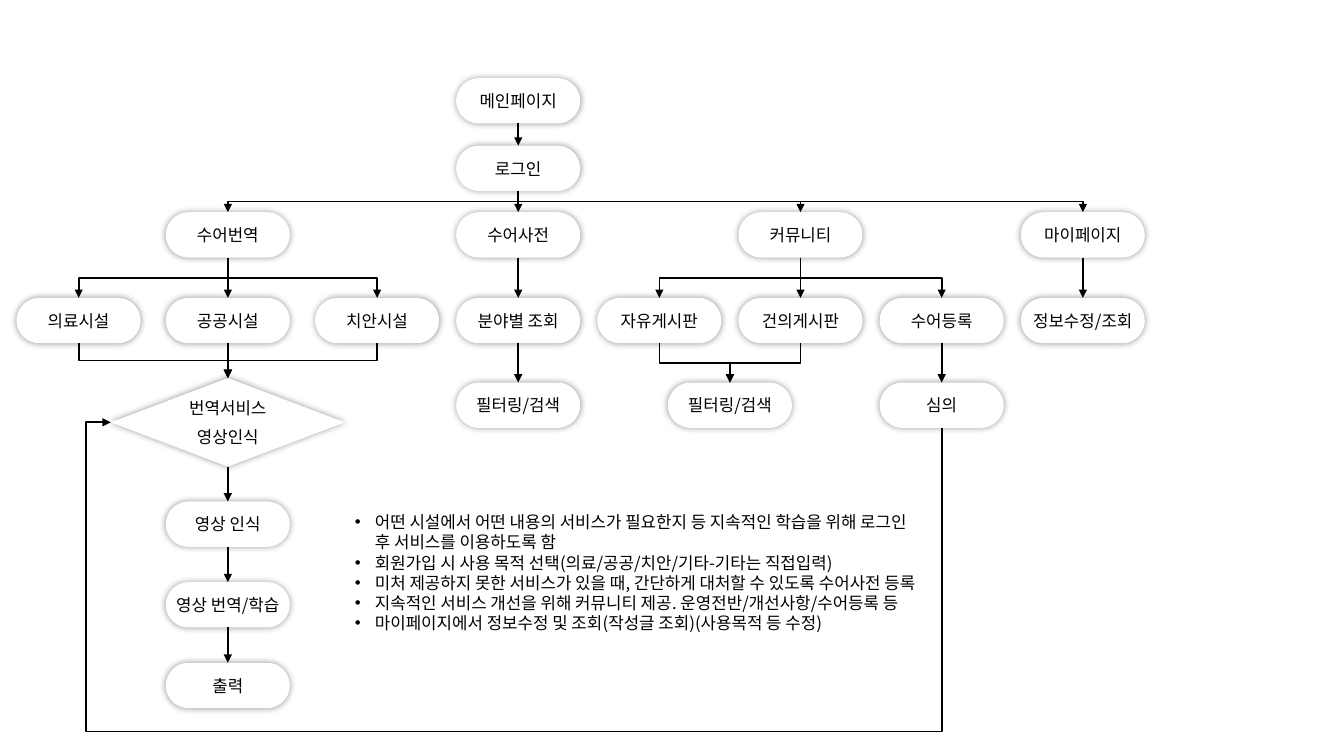
from lxml import etree
from pptx import Presentation
from pptx.dml.color import RGBColor
from pptx.enum.shapes import MSO_CONNECTOR, MSO_SHAPE
from pptx.enum.text import MSO_ANCHOR, PP_ALIGN
from pptx.oxml.ns import qn
from pptx.util import Inches, Pt

BLACK = RGBColor(0x00, 0x00, 0x00)
WHITE = RGBColor(0xFF, 0xFF, 0xFF)
ROUND, DECISION = MSO_SHAPE.ROUNDED_RECTANGLE, MSO_SHAPE.FLOWCHART_DECISION
STRAIGHT, ELBOW = MSO_CONNECTOR.STRAIGHT, MSO_CONNECTOR.ELBOW
MIDDLE, CENTER = MSO_ANCHOR.MIDDLE, PP_ALIGN.CENTER
TOP, LEFT, BOTTOM = 0, 1, 2  # connection sites

# Column centres: three translation columns, then five for the other menus
COLS = [0.78 + 1.48 * i for i in range(3)] + [5.14 + 1.4 * i for i in range(5)]
# Row centres: menu levels, the decision, then the translation steps
ROWS = [1.0, 1.67, 2.33, 3.18, 4.02, 4.19, 5.2, 6.0, 6.8]
BOX = (1.23, 0.45)
DIAMOND = (2.32, 0.88)
LOOP_X, LOOP_Y = 0.85, 7.25

# key: (text, column, row)
NODES = {
    "main": ("메인페이지", 3, 0),
    "login": ("로그인", 3, 1),
    "dictionary": ("수어사전", 3, 2),
    "translate": ("수어번역", 1, 2),
    "community": ("커뮤니티", 5, 2),
    "mypage": ("마이페이지", 7, 2),
    "medical": ("의료시설", 0, 3),
    "public": ("공공시설", 1, 3),
    "security": ("치안시설", 2, 3),
    "service": ("번역서비스\n영상인식", 1, 5),
    "capture": ("영상 인식", 1, 6),
    "learn": ("영상 번역/학습", 1, 7),
    "output": ("출력", 1, 8),
    "by_field": ("분야별 조회", 3, 3),
    "field_search": ("필터링/검색", 3, 4),
    "free_board": ("자유게시판", 4, 3),
    "idea_board": ("건의게시판", 5, 3),
    "sign_entry": ("수어등록", 6, 3),
    "board_search": ("필터링/검색", 4.5, 4),
    "review": ("심의", 6, 4),
    "edit_info": ("정보수정/조회", 7, 3),
}
LINKS = {
    "main": ["login"],
    "login": ["translate", "community", "mypage", "dictionary"],
    "translate": ["medical", "security", "public"],
    "medical": ["service"],
    "public": ["service"],
    "security": ["service"],
    "service": ["capture"],
    "capture": ["learn"],
    "learn": ["output"],
    "dictionary": ["by_field"],
    "by_field": ["field_search"],
    "community": ["idea_board", "free_board", "sign_entry"],
    "mypage": ["edit_info"],
    "sign_entry": ["review"],
    "free_board": ["board_search"],
    "idea_board": ["board_search"],
}
NOTES = [
    "어떤 시설에서 어떤 내용의 서비스가 필요한지 등 지속적인 학습을 위해 로그인 후 서비스를 이용하도록 함",
    "회원가입 시 사용 목적 선택(의료/공공/치안/기타-기타는 직접입력)",
    "미처 제공하지 못한 서비스가 있을 때, 간단하게 대처할 수 있도록 수어사전 등록",
    "지속적인 서비스 개선을 위해 커뮤니티 제공. 운영전반/개선사항/수어등록 등",
    "마이페이지에서 정보수정 및 조회(작성글 조회)(사용목적 등 수정)",
]


def add_xml(parent, tag, **attrs):
    return etree.SubElement(parent, qn(tag), {k: str(v) for k, v in attrs.items()})


def column_x(col):
    """Centre of a column; a fraction lies between two columns."""
    i = int(col)
    return COLS[i] + (col - i) * (COLS[i + 1] - COLS[i]) if col > i else COLS[i]


class FlowChart:
    font = {"name": "Noto Sans CJK KR", "size": Pt(12)}
    box_frame = {"margin_left": 0, "margin_right": 0, "margin_top": 0,
                 "margin_bottom": 0, "vertical_anchor": MIDDLE, "word_wrap": True}
    box_par = {"alignment": CENTER, "space_before": Pt(6)}

    def __init__(self, slide):
        self.shapes = slide.shapes

    def fill_text(self, tf, lines, frame, par):
        for name, value in frame.items():
            setattr(tf, name, value)
        for i, line in enumerate(lines):
            p = tf.add_paragraph() if i else tf.paragraphs[0]
            for name, value in par.items():
                setattr(p, name, value)
            r = p.add_run()
            r.text = line
            for name, value in self.font.items():
                setattr(r.font, name, value)
            r.font.color.rgb = BLACK
            add_xml(r._r.get_or_add_rPr(), "a:ea", typeface=self.font["name"])

    def node(self, text, col, row, kind=ROUND, size=BOX):
        w, h = size
        sp = self.shapes.add_shape(kind, Inches(column_x(col) - w / 2),
                                   Inches(ROWS[row] - h / 2), Inches(w), Inches(h))
        if kind == ROUND:
            sp.adjustments[0] = 0.5
        sp.fill.solid()
        sp.fill.fore_color.rgb = WHITE
        sp.line.fill.background()
        sp.shadow.inherit = False
        effects = sp._element.spPr.find(qn("a:effectLst"))
        glow = add_xml(effects, "a:outerShdw", blurRad=Pt(5), dist=0, dir=0,
                       algn="ctr", rotWithShape=0)
        add_xml(add_xml(glow, "a:srgbClr", val=BLACK), "a:alpha", val=40000)
        self.fill_text(sp.text_frame, text.split("\n"), self.box_frame, self.box_par)
        return sp

    def arrow(self, start, end, site=TOP, via=None):
        """Arrow from the bottom of start; via is the outer corner of a detour."""
        x1, y1 = start.left + start.width // 2, start.top + start.height
        x2, y2 = end.left + end.width // 2, end.top
        if site == LEFT:
            x2, y2 = end.left, end.top + end.height // 2
        dx, dy = x2 - x1, y2 - y1
        straight = abs(dx) < Inches(0.02)
        sp = self.shapes.add_connector(STRAIGHT if straight else ELBOW, x1, y1, x2, y2)
        sp.begin_connect(start, BOTTOM)
        sp.end_connect(end, site)
        if not straight:
            self.turn(sp, x1, y1, dx, dy)
        if via:
            geom = sp._element.spPr.find(qn("a:prstGeom"))
            geom.set("prst", "bentConnector4")
            shares = ((Inches(via[1]) - y1) / dy, (Inches(via[0]) - x1) / dx)
            for i, share in enumerate(shares, 1):
                add_xml(geom.find(qn("a:avLst")), "a:gd", name=f"adj{i}",
                        fmla=f"val {round(share * 100000)}")
        sp.line.color.rgb = BLACK
        sp.line.width = Pt(1.25)
        add_xml(sp._element.spPr.find(qn("a:ln")), "a:tailEnd", type="triangle")
        add_xml(sp._element.spPr, "a:effectLst")

    def turn(self, sp, x, y, dx, dy):
        """Rotate an elbow so that it leaves its start vertically."""
        w, h = abs(dy), abs(dx)
        sp.left, sp.top = x + (dx - w) // 2, y + (dy - h) // 2
        sp.width, sp.height = w, h
        xfrm = sp._element.spPr.find(qn("a:xfrm"))
        xfrm.attrib.clear()
        xfrm.set("rot", str((90 if dx < 0 else 270) * 60000))
        if (dx > 0) != (dy < 0):
            xfrm.set("flipH", "1")

    def bullets(self, lines, x, y, w, h):
        sp = self.shapes.add_textbox(Inches(x), Inches(y), Inches(w), Inches(h))
        self.fill_text(sp.text_frame, lines, {"word_wrap": True}, {})
        for p in sp.text_frame.paragraphs:
            pPr = p._p.get_or_add_pPr()
            pPr.set("marL", str(Inches(0.2)))
            pPr.set("indent", str(-Inches(0.2)))
            add_xml(pPr, "a:buFont", typeface="Arial")
            add_xml(pPr, "a:buChar", char="•")


def main():
    prs = Presentation()
    prs.slide_width, prs.slide_height = Inches(13.33), Inches(7.5)
    chart = FlowChart(prs.slides.add_slide(prs.slide_layouts[6]))
    nodes = {}
    for key, spot in NODES.items():
        look = (DECISION, DIAMOND) if key == "service" else (ROUND, BOX)
        nodes[key] = chart.node(*spot, *look)
    for key, targets in LINKS.items():
        for target in targets:
            chart.arrow(nodes[key], nodes[target])
    chart.arrow(nodes["review"], nodes["service"], LEFT, (LOOP_X, LOOP_Y))
    chart.bullets(NOTES, 3.42, 5.03, 5.78, 1.31)
    prs.save("out.pptx")


if __name__ == "__main__":
    main()
